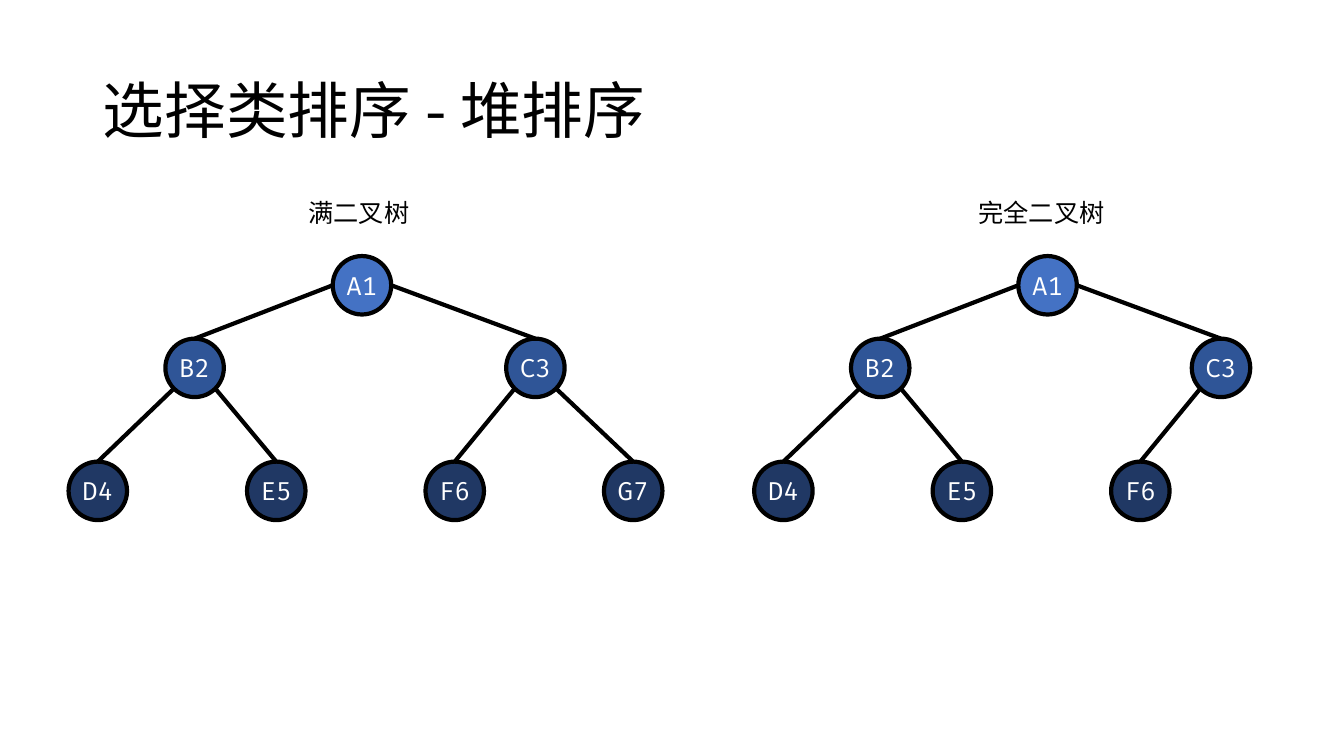
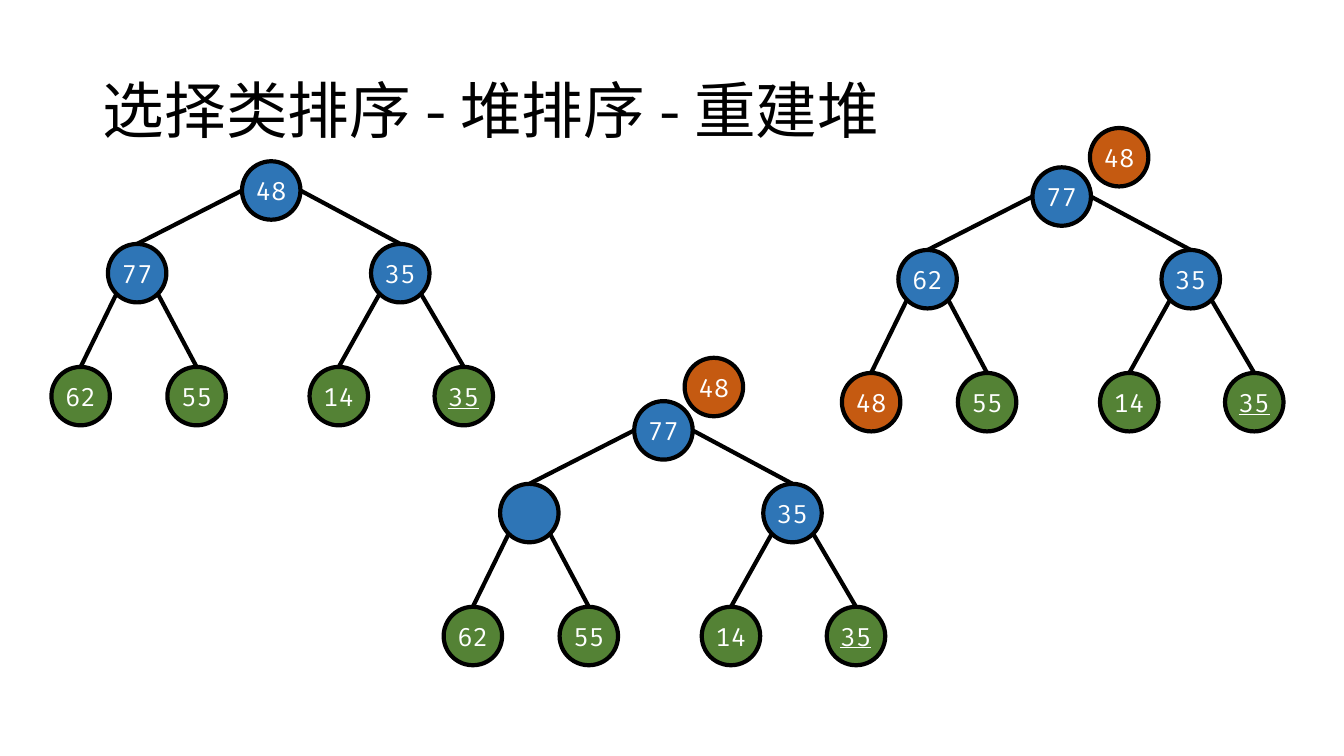
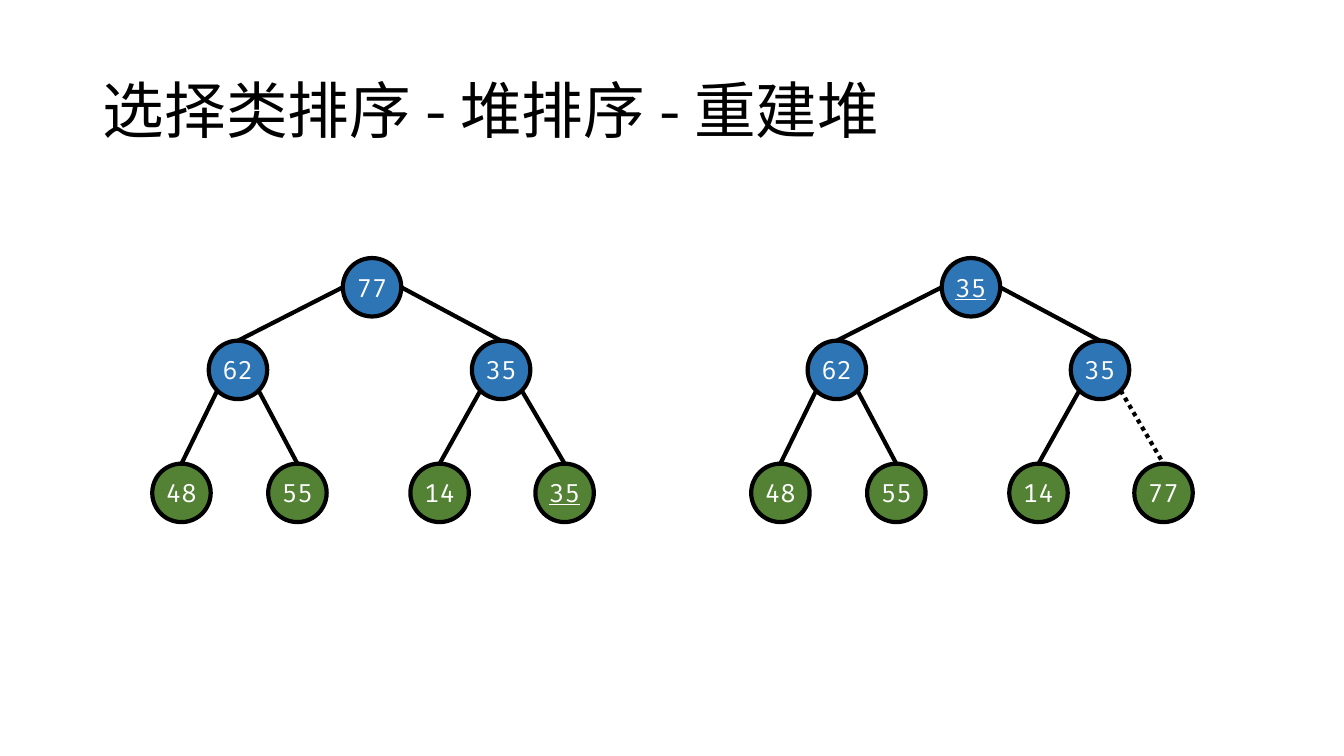
import math

import lxml.etree
import pptx
import pptx.dml.color
import pptx.enum.dml
import pptx.enum.shapes
import pptx.enum.text
import pptx.oxml.ns
import pptx.util

Inches = pptx.util.Inches
RGBColor = pptx.dml.color.RGBColor
ALIGN = pptx.enum.text.PP_ALIGN

BLACK = RGBColor(0x00, 0x00, 0x00)
WHITE = RGBColor(0xFF, 0xFF, 0xFF)
ROYAL_BLUE = RGBColor(0x44, 0x72, 0xC4)
DEEP_BLUE = RGBColor(0x2F, 0x55, 0x97)
NAVY = RGBColor(0x20, 0x38, 0x64)
BLUE = RGBColor(0x2E, 0x75, 0xB6)
GREEN = RGBColor(0x54, 0x82, 0x35)
ORANGE = RGBColor(0xC5, 0x5A, 0x11)

TEXT_FONT = "Noto Sans CJK SC"
NODE_FONT = "Fira Code"
DIAMETER = 0.58
RADIUS = DIAMETER / 2
DIAGONAL = RADIUS * math.sqrt(0.5)

LEVEL_DROPS = (0, 0.82, 2.04)
WIDE_OFFSETS = (0, -1.66, 1.72, -2.62, -0.85, 0.92, 2.69)
NARROW_OFFSETS = (0, -1.33, 1.28, -1.89, -0.74, 0.67, 1.91)
BLUE_LEVELS = (ROYAL_BLUE, DEEP_BLUE, NAVY)
HEAP_LEVELS = (BLUE, BLUE, GREEN)


class Deck:
    def __init__(self):
        self.presentation = pptx.Presentation()
        self.presentation.slide_width = Inches(13.33)
        self.presentation.slide_height = Inches(7.5)
        self.slide = None

    def style_text(self, paragraph, size, name, color):
        font = paragraph.font
        font.size = pptx.util.Pt(size)
        font.name = name
        font.color.rgb = color
        properties = paragraph._p.find(".//" + pptx.oxml.ns.qn("a:defRPr"))
        east_asian = lxml.etree.SubElement(properties, pptx.oxml.ns.qn("a:ea"))
        east_asian.set("typeface", name)

    def add_slide(self, text):
        layout = self.presentation.slide_layouts[5]
        self.slide = self.presentation.slides.add_slide(layout)
        title = self.slide.shapes.title
        title.left, title.top = Inches(0.92), Inches(0.4)
        title.width, title.height = Inches(11.5), Inches(1.45)
        frame = title.text_frame
        frame.text = text
        frame.auto_size = pptx.enum.text.MSO_AUTO_SIZE.NONE
        frame.vertical_anchor = pptx.enum.text.MSO_ANCHOR.MIDDLE
        paragraph = frame.paragraphs[0]
        paragraph.alignment = ALIGN.LEFT
        paragraph.line_spacing = 0.9
        self.style_text(paragraph, 44, TEXT_FONT, BLACK)

    def caption(self, left, text):
        box = self.slide.shapes.add_textbox(
            Inches(left), Inches(1.91), Inches(1.96), Inches(0.4))
        frame = box.text_frame
        frame.word_wrap = True
        frame.text = text
        paragraph = frame.paragraphs[0]
        paragraph.alignment = ALIGN.CENTER
        self.style_text(paragraph, 18, TEXT_FONT, BLACK)

    def outline(self, line):
        line.color.rgb = BLACK
        line.width = pptx.util.Pt(3)

    def node(self, left, top, text, fill, underline=False):
        shape = self.slide.shapes.add_shape(
            pptx.enum.shapes.MSO_SHAPE.OVAL,
            Inches(left), Inches(top), Inches(DIAMETER), Inches(DIAMETER))
        shape.shadow.inherit = False
        shape.fill.solid()
        shape.fill.fore_color.rgb = fill
        self.outline(shape.line)
        if text:
            frame = shape.text_frame
            frame.word_wrap = False
            frame.vertical_anchor = pptx.enum.text.MSO_ANCHOR.MIDDLE
            frame.text = text
            paragraph = frame.paragraphs[0]
            paragraph.alignment = ALIGN.CENTER
            self.style_text(paragraph, 18, NODE_FONT, WHITE)
            if underline:
                paragraph.font.underline = True

    def edge(self, start_x, start_y, end_x, end_y, dotted=False):
        connector = self.slide.shapes.add_connector(
            pptx.enum.shapes.MSO_CONNECTOR.STRAIGHT,
            Inches(start_x), Inches(start_y), Inches(end_x), Inches(end_y))
        self.outline(connector.line)
        if dotted:
            connector.line.dash_style = pptx.enum.dml.MSO_LINE.ROUND_DOT
        lxml.etree.SubElement(
            connector._element.spPr, pptx.oxml.ns.qn("a:effectLst"))

    def tree(self, left, top, values, offsets, fills,
             underlined=None, highlighted=None, dotted=None):
        places = []
        for index, value in enumerate(values):
            level = (index + 1).bit_length() - 1
            x, y = left + offsets[index], top + LEVEL_DROPS[level]
            places.append((x + RADIUS, y + RADIUS))
            fill = ORANGE if index == highlighted else fills[level]
            self.node(x, y, value, fill, index == underlined)
        for index in range(1, len(values)):
            parent = (index - 1) // 2
            x, y = places[parent]
            side = -1 if index % 2 else 1
            reach, drop = (DIAGONAL, DIAGONAL) if parent else (RADIUS, 0)
            child_x, child_y = places[index]
            self.edge(x + side * reach, y + drop,
                      child_x, child_y - RADIUS, index == dotted)

    def heap(self, left, top, values, **marks):
        self.tree(left, top, values.split(","), NARROW_OFFSETS, HEAP_LEVELS, **marks)


def main():
    deck = Deck()

    deck.add_slide("选择类排序 - 堆排序")
    labels = ["A1", "B2", "C3", "D4", "E5", "F6", "G7"]
    deck.tree(3.3, 2.54, labels, WIDE_OFFSETS, BLUE_LEVELS)
    deck.tree(10.1, 2.54, labels[:-1], WIDE_OFFSETS, BLUE_LEVELS)
    deck.caption(2.58, "满二叉树")
    deck.caption(9.35, "完全二叉树")

    deck.add_slide("选择类排序 - 堆排序 - 重建堆")
    deck.heap(2.4, 1.6, "48,77,35,62,55,14,35", underlined=6)
    deck.node(6.79, 3.55, "48", ORANGE)
    deck.heap(6.29, 3.98, "77,,35,62,55,14,35", underlined=6)
    deck.node(10.81, 1.27, "48", ORANGE)
    deck.heap(10.24, 1.66, "77,62,35,48,55,14,35", underlined=6, highlighted=3)

    deck.add_slide("选择类排序 - 堆排序 - 重建堆")
    deck.heap(3.4, 2.56, "77,62,35,48,55,14,35", underlined=6)
    deck.heap(9.34, 2.56, "35,62,35,48,55,14,77", underlined=0, dotted=6)

    deck.presentation.save("out.pptx")


if __name__ == "__main__":
    main()
